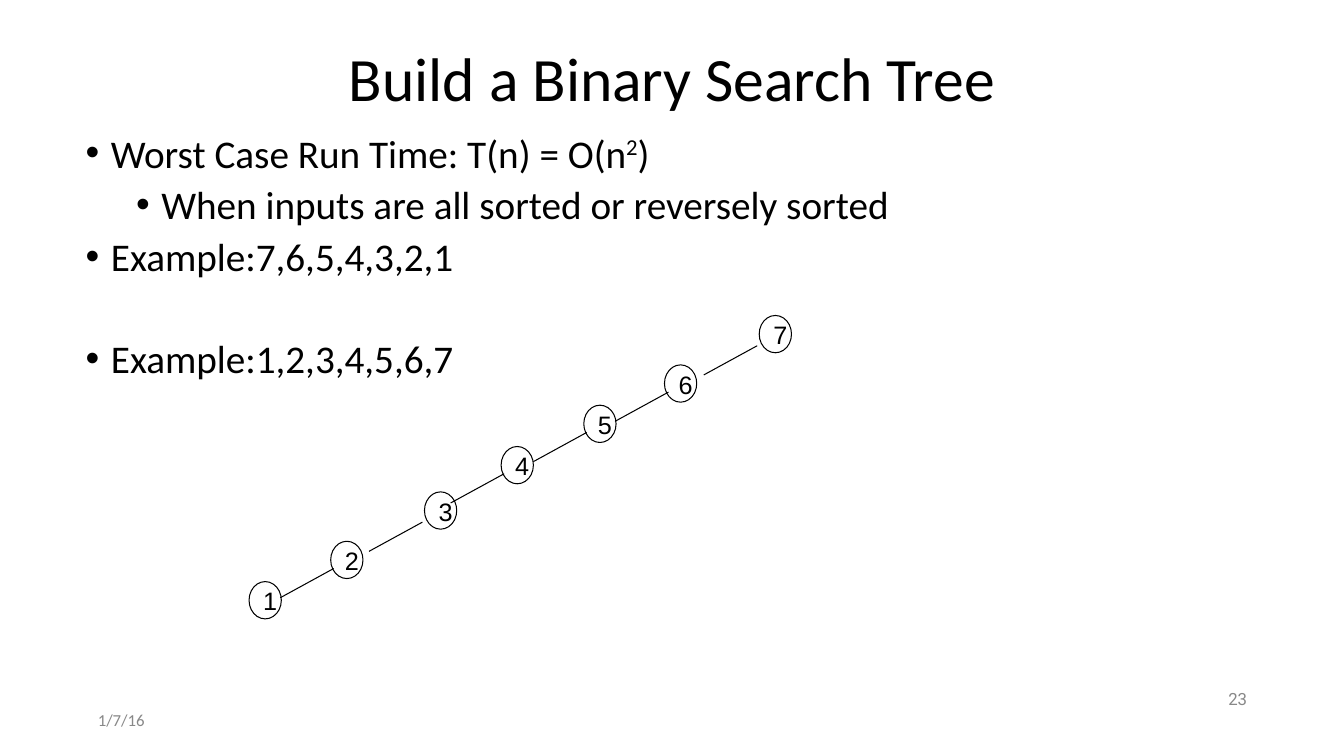
from dataclasses import dataclass
from typing import Optional

from lxml.etree import SubElement
from pptx import Presentation
from pptx.dml.color import RGBColor
from pptx.enum.shapes import MSO_CONNECTOR, MSO_SHAPE
from pptx.enum.text import MSO_ANCHOR, PP_ALIGN
from pptx.oxml.ns import qn
from pptx.util import Emu, Pt

BLACK = RGBColor(0x00, 0x00, 0x00)
GRAY = RGBColor(0x88, 0x88, 0x88)
SCALE = 9144  # EMU in one px, 100 px to the inch
PAD = 5


def px(size: int) -> Emu:
    return Emu(size * SCALE)


@dataclass
class Label:
    text: str
    left: int
    top: int
    width: int
    height: int
    size: int
    font: str = "Calibri"
    color: RGBColor = BLACK
    align: PP_ALIGN = PP_ALIGN.LEFT
    anchor: MSO_ANCHOR = MSO_ANCHOR.MIDDLE
    spacing: float = 1.0


@dataclass
class Bullet:
    runs: list[str]  # every second run is raised
    level: int = 0
    before: int = 10


@dataclass
class Node:
    key: str
    left: int
    top: int
    edge: Optional[tuple[int, int]] = None  # lower end of the line to the parent


LABELS = [
    Label("Build a Binary Search Tree", 92, 31, 1150, 100, 44,
          align=PP_ALIGN.CENTER, spacing=0.9),
    Label("1/7/16", 92, 700, 300, 29, 12, color=GRAY),
    Label("23", 942, 680, 300, 29, 12, "Roboto", GRAY, PP_ALIGN.RIGHT, spacing=0.9),
]
BULLETS = [
    Bullet(["Worst Case Run Time: T(n) = O(n", "2", ")"], before=0),
    Bullet(["When inputs are all sorted or reversely sorted"], level=1),
    Bullet(["Example:7,6,5,4,3,2,1"]),
    Bullet(["Example:1,2,3,4,5,6,7"], before=46),
]
NODES = [
    Node("7", 753, 313),
    Node("6", 659, 362, (698, 372)),
    Node("5", 579, 402, (610, 418)),
    Node("4", 497, 443, (529, 458)),
    Node("3", 421, 488, (447, 499)),
    Node("2", 328, 537, (366, 547)),
    Node("1", 247, 577, (278, 593)),
]
RUN, RISE = 53, 29  # reach of each line


def add_box(slide, left: int, top: int, width: int, height: int, anchor: MSO_ANCHOR):
    box = slide.shapes.add_textbox(px(left), px(top), px(width), px(height))
    frame = box.text_frame
    frame.word_wrap = True
    frame.vertical_anchor = anchor
    frame.margin_left = frame.margin_right = px(PAD)
    frame.margin_top = frame.margin_bottom = px(PAD)
    return frame


def add_run(para, text: str, size: int, font: str, color: RGBColor):
    run = para.add_run()
    run.text = text
    run.font.size = Pt(size)
    run.font.name = font
    run.font.color.rgb = color
    return run


def add_label(slide, label: Label) -> None:
    frame = add_box(slide, label.left, label.top, label.width, label.height, label.anchor)
    para = frame.paragraphs[0]
    para.alignment = label.align
    para.line_spacing = label.spacing
    add_run(para, label.text, label.size, label.font, label.color)


def add_list(slide, bullets: list[Bullet]) -> None:
    frame = add_box(slide, 80, 132, 865, 325, MSO_ANCHOR.TOP)
    for index, bullet in enumerate(bullets):
        para = frame.add_paragraph() if index else frame.paragraphs[0]
        para.level = bullet.level
        para.line_spacing = 0.8
        para.space_before = Pt(bullet.before)
        props = para._p.get_or_add_pPr()
        props.set("marL", str(px(25 + 50 * bullet.level)))
        props.set("indent", str(px(-25)))
        SubElement(props, qn("a:buFont")).set("typeface", "Arial")
        SubElement(props, qn("a:buChar")).set("char", "•")
        for place, text in enumerate(bullet.runs):
            run = add_run(para, text, 28, "Calibri", BLACK)
            if place % 2:
                run._r.get_or_add_rPr().set("baseline", "32000")


def add_node(slide, node: Node) -> None:
    add_label(slide, Label(node.key, node.left + 9, node.top - 1, 67, 38, 18,
                           "Arial", anchor=MSO_ANCHOR.TOP))
    ring = slide.shapes.add_shape(MSO_SHAPE.OVAL, px(node.left), px(node.top),
                                  px(32), px(37))
    ring.shadow.inherit = False
    ring.fill.background()
    ring.line.color.rgb = BLACK
    ring.line.width = Pt(0.75)
    if node.edge:
        left, low = node.edge
        line = slide.shapes.add_connector(MSO_CONNECTOR.STRAIGHT, px(left), px(low),
                                          px(left + RUN), px(low - RISE))
        line.line.color.rgb = BLACK
        line.line.width = Pt(0.75)
        SubElement(line._element.spPr, qn("a:effectLst"))


def main() -> None:
    deck = Presentation()
    deck.slide_width, deck.slide_height = px(1333), px(750)
    slide = deck.slides.add_slide(deck.slide_layouts[6])

    # Title, date and page number
    for label in LABELS:
        add_label(slide, label)

    # Run time and examples
    add_list(slide, BULLETS)

    # Degenerate tree, root first
    for node in NODES:
        add_node(slide, node)

    deck.save("out.pptx")


if __name__ == "__main__":
    main()
